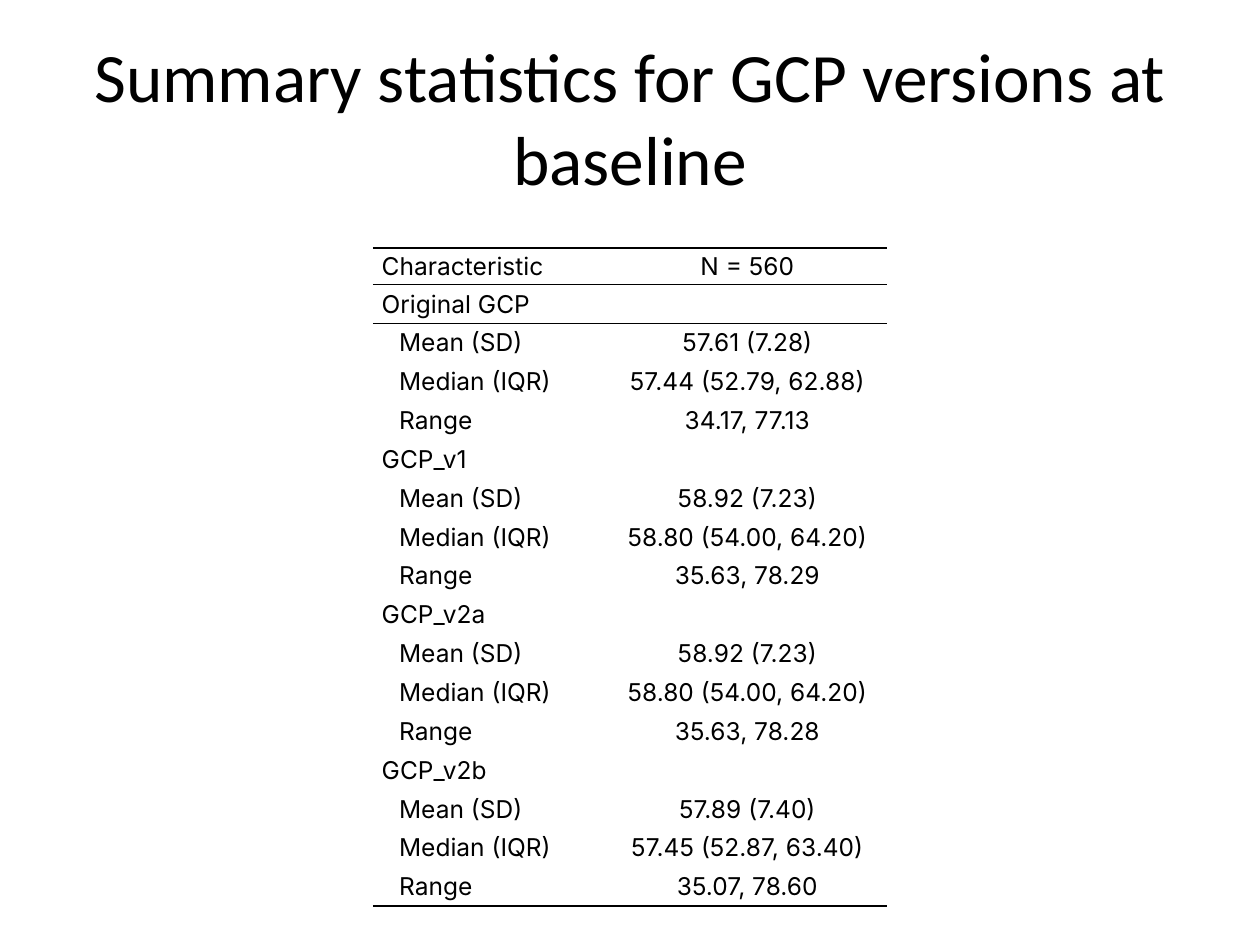
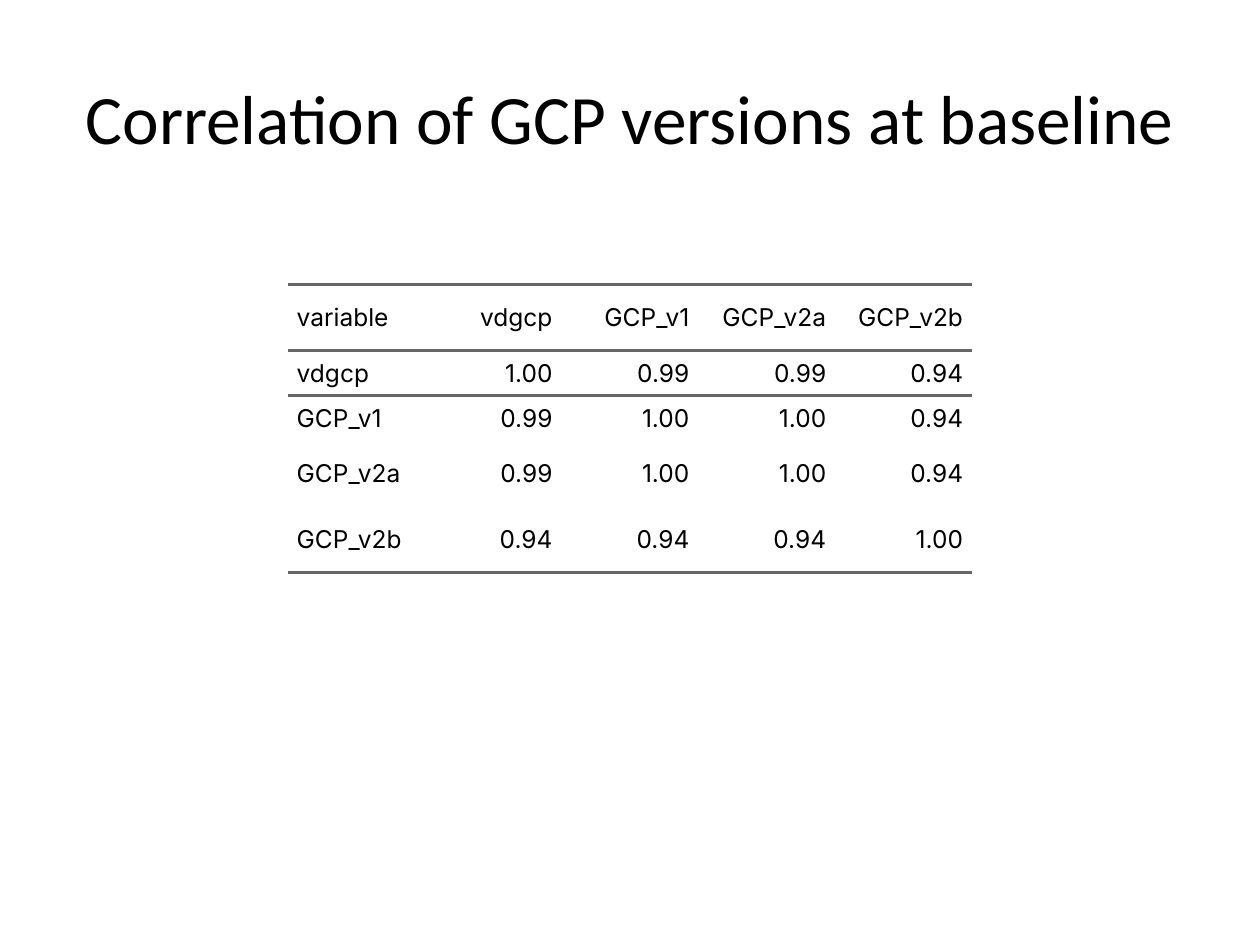
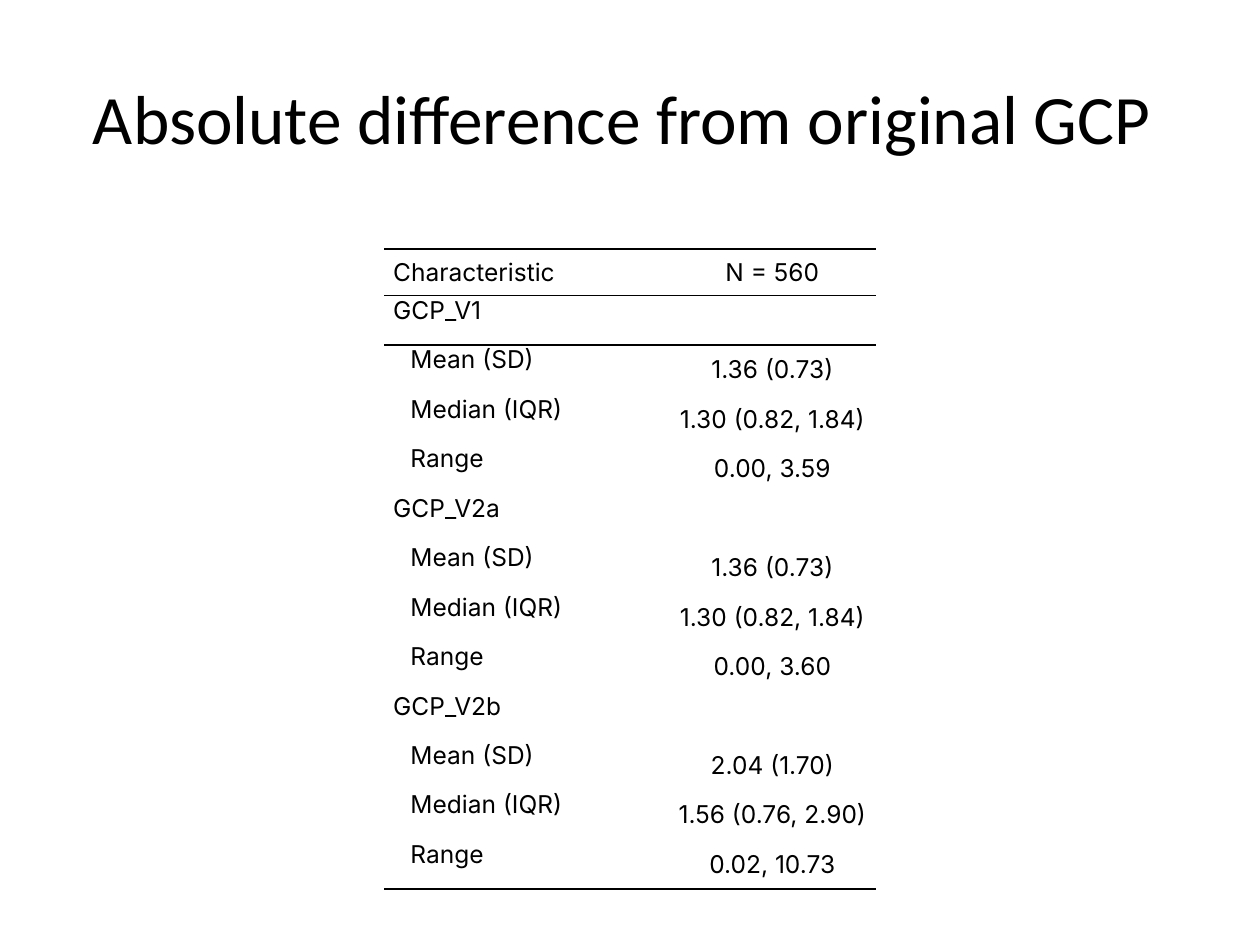
"""Build three slides of tables comparing GCP versions at baseline."""
from lxml.etree import SubElement
from pptx import Presentation
from pptx.dml.color import RGBColor
from pptx.enum.text import MSO_ANCHOR as Anchor, MSO_AUTO_SIZE as AutoSize, PP_ALIGN as Align
from pptx.oxml.ns import qn
from pptx.util import Cm, Pt

COLORS = {"text": "000000", "rule": "000000", "grey_rule": "666666"}
TITLE_FONT, TABLE_FONT = "Calibri", "Inter"
NO_TABLE_STYLE = "{2D5ABB26-0587-4C30-8999-92F81FD0307C}"
STATISTICS = ["Mean (SD)", "Median (IQR)", "Range"]


def summary_rows(groups):
    rows = [["Characteristic", "N = 560"]]
    for version, figures in groups.items():
        rows.append([version, ""])
        rows += [list(pair) for pair in zip(STATISTICS, figures)]
    return rows


def add_rule(cell, side, color, width):
    line = SubElement(cell._tc.get_or_add_tcPr(), qn(f"a:{side}"), w=str(Pt(width)))
    fill = SubElement(line, qn("a:solidFill"))
    SubElement(fill, qn("a:srgbClr"), val=COLORS[color])


baseline = summary_rows({
    "Original GCP": ["57.61 (7.28)", "57.44 (52.79, 62.88)", "34.17, 77.13"],
    "GCP_v1": ["58.92 (7.23)", "58.80 (54.00, 64.20)", "35.63, 78.29"],
    "GCP_v2a": ["58.92 (7.23)", "58.80 (54.00, 64.20)", "35.63, 78.28"],
    "GCP_v2b": ["57.89 (7.40)", "57.45 (52.87, 63.40)", "35.07, 78.60"],
})
correlation = [
    ["variable", "vdgcp", "GCP_v1", "GCP_v2a", "GCP_v2b"],
    ["vdgcp", "1.00", "0.99", "0.99", "0.94"],
    ["GCP_v1", "0.99", "1.00", "1.00", "0.94"],
    ["GCP_v2a", "0.99", "1.00", "1.00", "0.94"],
    ["GCP_v2b", "0.94", "0.94", "0.94", "1.00"],
]
difference = summary_rows({
    "GCP_V1": ["1.36 (0.73)", "1.30 (0.82, 1.84)", "0.00, 3.59"],
    "GCP_V2a": ["1.36 (0.73)", "1.30 (0.82, 1.84)", "0.00, 3.60"],
    "GCP_V2b": ["2.04 (1.70)", "1.56 (0.76, 2.90)", "0.02, 10.73"],
})

pages = [
    dict(title="Summary statistics for GCP versions at baseline", rows=baseline,
         top=5.0, widths=[4.73, 5.64], heights=[0.74] + [12.54 / 16] * 16,
         align=Align.CENTER, label_anchor=Anchor.MIDDLE, header_space=2,
         rule="rule", rule_width=1),
    dict(title="Correlation of GCP versions at baseline", rows=correlation,
         top=5.74, widths=[2.76] * 5, heights=[1.33, 0.91, 0.91, 1.33, 1.33],
         align=Align.RIGHT, label_anchor=Anchor.MIDDLE, header_space=5,
         rule="grey_rule", rule_width=2),
    dict(title="Absolute difference from original GCP ", rows=difference,
         top=5.02, widths=[5.74, 4.17], heights=[0.94] + [11.97 / 12] * 12,
         align=Align.CENTER, label_anchor=Anchor.TOP, header_space=2,
         rule="rule", rule_width=1),
]

deck = Presentation()
deck.slide_width, deck.slide_height = Cm(25.4), Cm(19.05)

for page in pages:
    slide = deck.slides.add_slide(deck.slide_layouts[5])
    title = slide.shapes.title
    title.left, title.top, title.width, title.height = Cm(1.27), Cm(0.76), Cm(22.86), Cm(3.18)
    title.text_frame.text = page["title"]
    title.text_frame.auto_size = AutoSize.NONE
    title.text_frame.vertical_anchor = Anchor.MIDDLE
    heading = title.text_frame.paragraphs[0]
    heading.alignment = Align.CENTER
    heading_font = heading.runs[0].font
    heading_font.name, heading_font.size = TITLE_FONT, Pt(39.6)
    heading_font.color.rgb = RGBColor.from_string(COLORS["text"])

    rows, widths, heights = page["rows"], page["widths"], page["heights"]
    table = slide.shapes.add_table(
        len(rows), len(widths), Cm((25.4 - sum(widths)) / 2), Cm(page["top"]),
        Cm(sum(widths)), Cm(sum(heights))).table
    table.first_row = table.horz_banding = False
    table._tbl.tblPr.find(qn("a:tableStyleId")).text = NO_TABLE_STYLE
    for column, width in zip(table.columns, widths):
        column.width = Cm(width)
    for row, height in zip(table.rows, heights):
        row.height = Cm(height)

    last = len(rows) - 1
    for r, values in enumerate(rows):
        for c, value in enumerate(values):
            cell = table.cell(r, c)
            cell.margin_left = cell.margin_right = cell.margin_top = cell.margin_bottom = 0
            is_label = c == 0 and r > 0
            cell.vertical_anchor = page["label_anchor"] if is_label else Anchor.MIDDLE
            if r in (0, 1):
                add_rule(cell, "lnT", page["rule"], page["rule_width"])
            if r in (0, last):
                add_rule(cell, "lnB", page["rule"], page["rule_width"])
            cell.fill.background()
            if not value:
                continue
            cell.text_frame.text = value
            entry = cell.text_frame.paragraphs[0]
            entry.alignment = Align.LEFT if c == 0 else page["align"]
            entry.space_before = entry.space_after = Pt(page["header_space"] if r == 0 else 5)
            indents = entry._p.get_or_add_pPr()
            indents.set("marL", str(Cm(0.53 if value in STATISTICS else 0.18)))
            indents.set("marR", str(Cm(0.18)))
            entry_font = entry.runs[0].font
            entry_font.name, entry_font.size = TABLE_FONT, Pt(14)
            entry_font.color.rgb = RGBColor.from_string(COLORS["text"])

deck.save("out.pptx")
